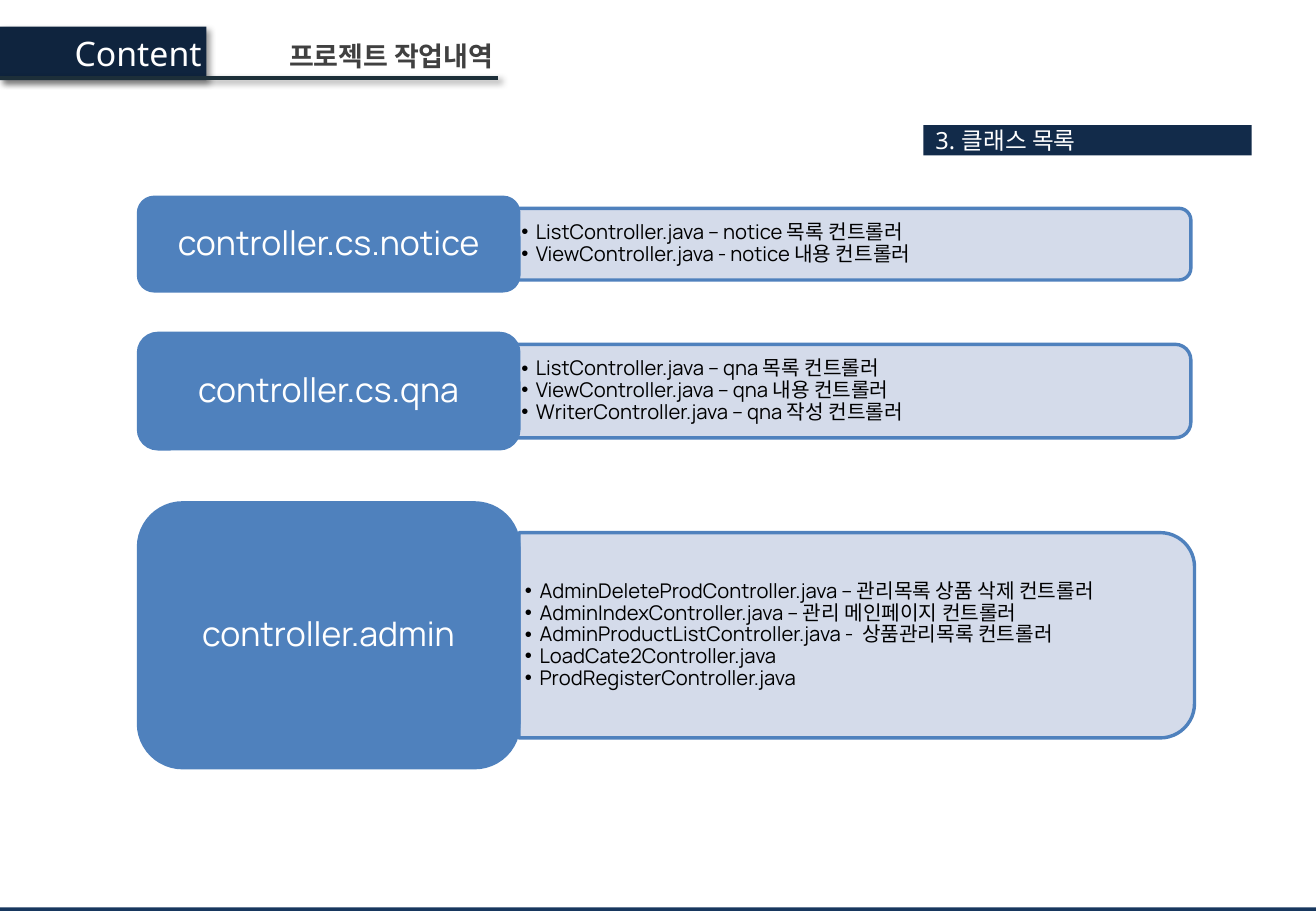
from lxml.etree import SubElement
from pptx import Presentation
from pptx.dml.color import RGBColor
from pptx.enum.shapes import MSO_CONNECTOR, MSO_SHAPE
from pptx.enum.text import MSO_ANCHOR, MSO_AUTO_SIZE, PP_ALIGN
from pptx.oxml import parse_xml
from pptx.oxml.ns import nsdecls, qn
from pptx.util import Inches, Pt

COLORS = {
    "navy": "0F243E", "section": "122B4A", "footer": "17375E", "rule": "1D2F39",
    "label": "4F81BD", "panel": "D0D8E8", "title": "404040",
    "white": "FFFFFF", "black": "000000",
}
SHADOW = (
    f'<a:effectLst {nsdecls("a")}><a:outerShdw blurRad="{Pt(4)}" dist="{Pt(3)}" '
    'dir="2700000" algn="tl" rotWithShape="0"><a:srgbClr val="000000">'
    '<a:alpha val="40000"/></a:srgbClr></a:outerShdw></a:effectLst>'
)


def write_text(shape, text, size=12, color="white", font="Manrope", bold=False,
               align=PP_ALIGN.LEFT, insets=(0.1, 0.05), spacing=1.0, bullets=False):
    """Fill a shape with one formatted paragraph per line of text."""
    frame = shape.text_frame
    frame.text = text
    frame.word_wrap = True
    frame.auto_size = MSO_AUTO_SIZE.NONE
    frame.vertical_anchor = MSO_ANCHOR.MIDDLE
    frame.margin_left = frame.margin_right = Inches(insets[0])
    frame.margin_top = frame.margin_bottom = Inches(insets[1])
    for paragraph in frame.paragraphs:
        paragraph.alignment = align
        paragraph.line_spacing = spacing
        paragraph.space_before = paragraph.space_after = Pt(0)
        paragraph.font.size = Pt(size)
        paragraph.font.name = font
        paragraph.font.bold = bold
        paragraph.font.color.rgb = RGBColor.from_string(COLORS[color])
        if bullets:
            properties = paragraph._p.get_or_add_pPr()
            properties.set("marL", str(Inches(0.12)))
            properties.set("indent", str(-Inches(0.12)))
            SubElement(properties, qn("a:buChar")).set("char", "•")


def add_box(preset, left, top, width, height, fill, line=None):
    """Add a preset shape with a flat fill and an optional outline."""
    shape = slide.shapes.add_shape(
        preset, Inches(left), Inches(top), Inches(width), Inches(height))
    shape.shadow.inherit = False
    shape.fill.solid()
    shape.fill.fore_color.rgb = RGBColor.from_string(COLORS[fill])
    if line:
        shape.line.color.rgb = RGBColor.from_string(COLORS[line])
        shape.line.width = Pt(2)
    else:
        shape.line.fill.background()
    return shape


presentation = Presentation()
presentation.slide_width = Inches(10.83)
presentation.slide_height = Inches(7.5)
slide = presentation.slides.add_slide(
    presentation.slide_layouts.get_by_name("Comparison"))
title, *bodies = slide.placeholders

# Header, section heading and footer
add_box(MSO_SHAPE.RECTANGLE, 0, 7.47, 10.83, 0.03, "footer")
section = add_box(MSO_SHAPE.RECTANGLE, 7.6, 1.03, 2.7, 0.25, "section")
write_text(section, "3. 클래스 목록", size=14, font="Noto Sans", insets=(0.1, 0))

banner = add_box(MSO_SHAPE.RECTANGLE, 0, 0.22, 1.7, 0.44, "navy")
write_text(banner, "Content", size=20, font="Noto Sans", align=PP_ALIGN.RIGHT,
           insets=(0.04, 0))

title.left, title.top = Inches(2.12), Inches(0.27)
title.width, title.height = Inches(2.04), Inches(0.37)
write_text(title, "프로젝트 작업내역", size=16, color="title", bold=True,
           align=PP_ALIGN.RIGHT)

rule = slide.shapes.add_connector(
    MSO_CONNECTOR.STRAIGHT, 0, Inches(0.64), Inches(4.1), Inches(0.64))
rule.line.color.rgb = RGBColor.from_string(COLORS["rule"])
rule.line.width = Pt(2.25)

for shape in (banner, rule):
    properties = shape.element.spPr
    for effect in properties.findall(qn("a:effectLst")):
        properties.remove(effect)
    properties.append(parse_xml(SHADOW))

# One row per package: label, vertical centre, heights, panel left, classes
LABEL_LEFT, LABEL_WIDTH, PANEL_WIDTH = 1.14, 3.13, 5.56
packages = [
    ("controller.cs.notice", 2.01, 0.77, 0.59, 4.24, [
        "ListController.java – notice 목록 컨트롤러",
        "ViewController.java - notice 내용 컨트롤러"]),
    ("controller.cs.qna", 3.22, 0.95, 0.77, 4.24, [
        "ListController.java – qna 목록 컨트롤러",
        "ViewController.java – qna 내용 컨트롤러",
        "WriterController.java – qna 작성 컨트롤러"]),
    ("controller.admin", 5.23, 2.18, 1.69, 4.27, [
        "AdminDeleteProdController.java – 관리목록 상품 삭제 컨트롤러",
        "AdminIndexController.java – 관리 메인페이지 컨트롤러",
        "AdminProductListController.java -  상품관리목록 컨트롤러",
        "LoadCate2Controller.java",
        "ProdRegisterController.java"]),
]

for body, package in zip(bodies, packages):
    name, middle, label_height, panel_height, panel_left, classes = package
    # The panel is turned a quarter so that its round corners face right
    panel = add_box(
        MSO_SHAPE.ROUND_2_SAME_RECTANGLE,
        panel_left + (PANEL_WIDTH - panel_height) / 2, middle - PANEL_WIDTH / 2,
        panel_height, PANEL_WIDTH, "panel", "label")
    panel.rotation = 90
    panel_color = panel.element.spPr.find(qn("a:solidFill"))[0]
    SubElement(panel_color, qn("a:alpha")).set("val", "90000")

    body.left, body.top = Inches(panel_left), Inches(middle - panel_height / 2)
    body.width, body.height = Inches(PANEL_WIDTH - 0.05), Inches(panel_height)
    write_text(body, "\n".join(classes), color="black", insets=(0.05, 0.03),
               spacing=0.9, bullets=True)
    slide.shapes.element.append(body.element)  # in front of its panel

    label = add_box(MSO_SHAPE.ROUNDED_RECTANGLE, LABEL_LEFT, middle - label_height / 2,
                    LABEL_WIDTH, label_height, "label", "label")
    write_text(label, name, size=20, align=PP_ALIGN.CENTER, insets=(0.08, 0.04),
               spacing=0.9)

for spare in bodies[len(packages):]:
    spare.element.getparent().remove(spare.element)

presentation.save("out.pptx")
